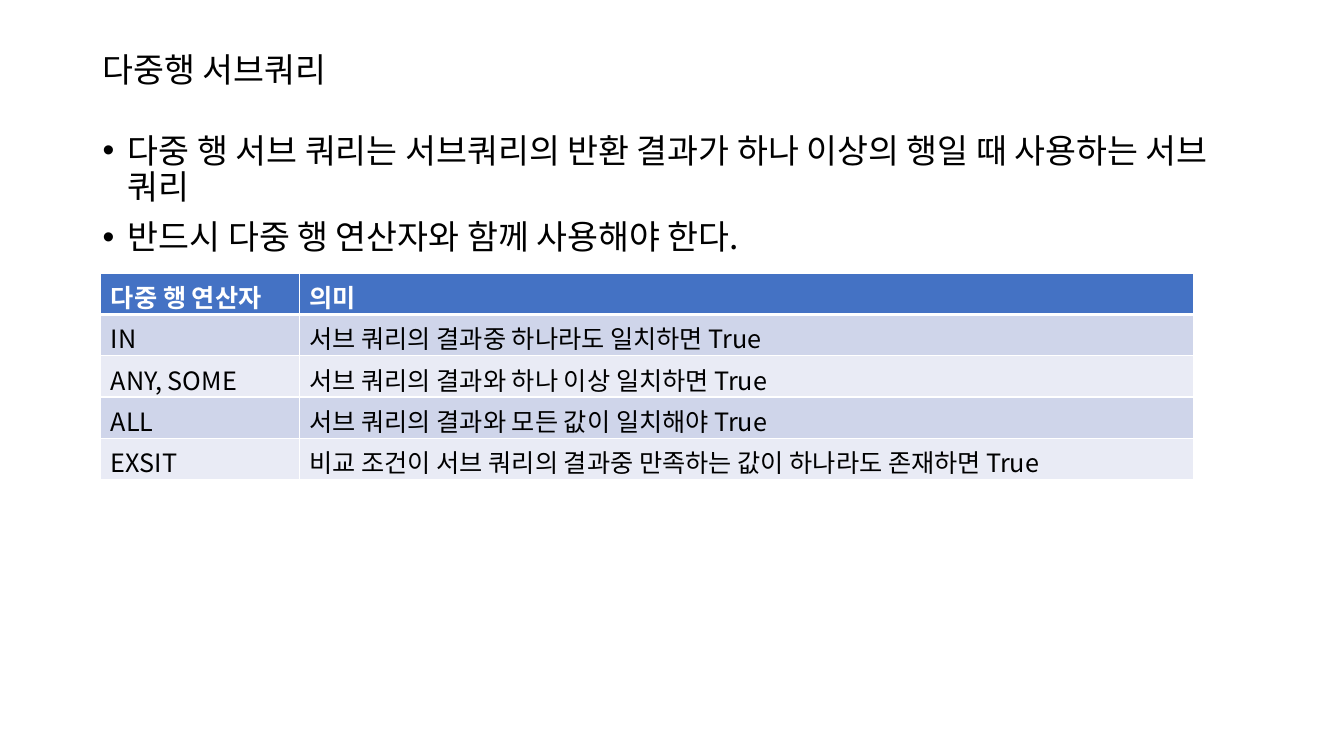
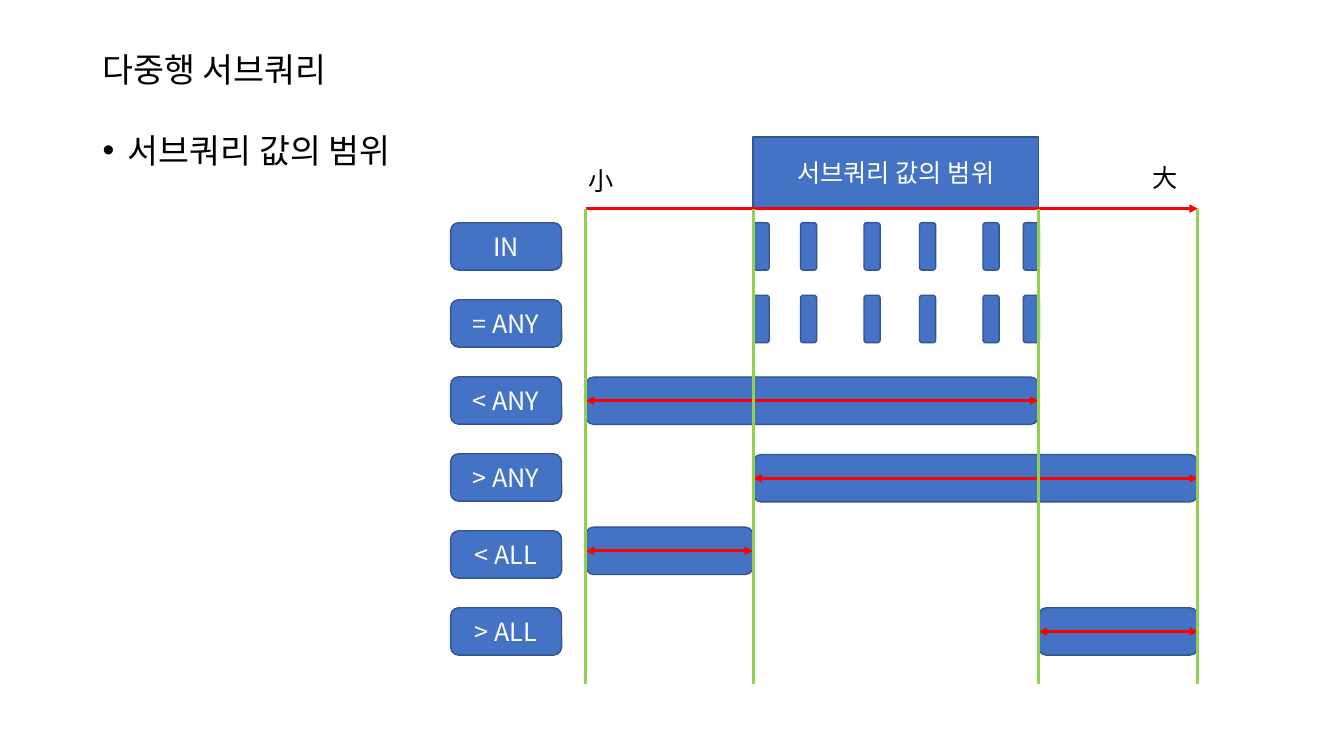
from lxml import etree
from pptx import Presentation
from pptx.dml.color import RGBColor
from pptx.enum.shapes import MSO_CONNECTOR, MSO_SHAPE
from pptx.enum.text import MSO_ANCHOR, PP_ALIGN
from pptx.oxml.ns import qn
from pptx.util import Inches, Pt

RECT = MSO_SHAPE.RECTANGLE
ROUND = MSO_SHAPE.ROUNDED_RECTANGLE
STRAIGHT = MSO_CONNECTOR.STRAIGHT
TOP, MIDDLE = MSO_ANCHOR.TOP, MSO_ANCHOR.MIDDLE
CENTER = PP_ALIGN.CENTER

BLACK = RGBColor(0x00, 0x00, 0x00)
WHITE = RGBColor(0xFF, 0xFF, 0xFF)
BLUE = RGBColor(0x44, 0x72, 0xC4)
NAVY = RGBColor(0x32, 0x54, 0x91)
RED = RGBColor(0xFF, 0x00, 0x00)
GREEN = RGBColor(0x92, 0xD0, 0x50)
BANDS = (RGBColor(0xE9, 0xEB, 0xF5), RGBColor(0xCF, 0xD5, 0xEA))
FONT = "Noto Sans CJK KR"
TITLE = "다중행 서브쿼리"


class Deck:
    def __init__(self):
        self.prs = Presentation()
        self.prs.slide_width = Inches(13.33)
        self.prs.slide_height = Inches(7.5)
        self.slide = None

    def page(self, title, points):
        self.slide = self.prs.slides.add_slide(self.prs.slide_layouts[6])
        self.text(0.92, 0.4, 3.05, 0.62, [title], 24, MIDDLE, 0.9)
        body = self.text(0.92, 1.28, 11.5, 5.91, points, 24, TOP, 0.9)
        for para in body.paragraphs:
            para.space_before = Pt(10)
            props = para._p.get_or_add_pPr()
            props.set("marL", str(Inches(0.25)))
            props.set("indent", str(-Inches(0.25)))
            etree.SubElement(props, qn("a:buFont")).set("typeface", "Arial")
            etree.SubElement(props, qn("a:buChar")).set("char", "•")

    def run(self, para, text, size, color, bold=False):
        run = para.add_run()
        run.text = text
        font = run.font
        font.name, font.size, font.bold = FONT, Pt(size), bold
        font.color.rgb = color
        etree.SubElement(run._r.get_or_add_rPr(), qn("a:ea")).set("typeface", FONT)

    def text(self, x, y, w, h, lines, size=18, anchor=TOP, space=None):
        box = self.slide.shapes.add_textbox(*map(Inches, (x, y, w, h)))
        frame = box.text_frame
        frame.word_wrap = True
        frame.vertical_anchor = anchor
        for i, line in enumerate(lines):
            para = frame.add_paragraph() if i else frame.paragraphs[0]
            para.line_spacing = space
            self.run(para, line, size, BLACK)
        return frame

    def box(self, x, y, w, h, text="", kind=ROUND):
        shape = self.slide.shapes.add_shape(kind, *map(Inches, (x, y, w, h)))
        shape.shadow.inherit = False
        shape.fill.solid()
        shape.fill.fore_color.rgb = BLUE
        shape.line.color.rgb = NAVY
        shape.line.width = Pt(1)
        if text:
            frame = shape.text_frame
            frame.word_wrap = True
            frame.vertical_anchor = MIDDLE
            para = frame.paragraphs[0]
            para.alignment = CENTER
            self.run(para, text, 18, WHITE)
        return shape

    def line(self, x1, y1, x2, y2, color, ends=()):
        line = self.slide.shapes.add_connector(STRAIGHT, *map(Inches, (x1, y1, x2, y2)))
        line.line.color.rgb = color
        line.line.width = Pt(2)
        for end in ends:
            etree.SubElement(line.line._get_or_add_ln(), qn("a:" + end)).set("type", "triangle")
        etree.SubElement(line.element.spPr, qn("a:effectLst"))
        return line

    def span(self, left, right, y, h):
        bar = self.box(left, y, right - left, h)
        mid = y + h / 2
        arrow = self.line(left, mid, right, mid, RED, ("headEnd", "tailEnd"))
        arrow.begin_connect(bar, 1)
        arrow.end_connect(bar, 3)

    def border(self, cell, head):
        props = cell._tc.get_or_add_tcPr()
        for i, side in enumerate(("lnL", "lnR", "lnT", "lnB")):
            edge = etree.Element(qn("a:" + side))
            thick = head and side == "lnB"
            edge.set("w", str(Pt(3 if thick else 1)))
            fill = etree.SubElement(edge, qn("a:solidFill"))
            etree.SubElement(fill, qn("a:srgbClr")).set("val", str(WHITE))
            props.insert(i, edge)

    def table(self, x, y, widths, high, rows):
        size = (x, y, sum(widths), high * len(rows))
        table = self.slide.shapes.add_table(
            len(rows), len(widths), *map(Inches, size)).table
        for col, width in zip(table.columns, widths):
            col.width = Inches(width)
        for r, row in enumerate(rows):
            table.rows[r].height = Inches(high)
            head = r == 0
            for c, text in enumerate(row):
                cell = table.cell(r, c)
                cell.fill.solid()
                cell.fill.fore_color.rgb = BLUE if head else BANDS[r % 2]
                self.border(cell, head)
                self.run(cell.text_frame.paragraphs[0], text, 18,
                         WHITE if head else BLACK, head)


def rules(deck):
    deck.page(TITLE, [
        "다중 행 서브 쿼리는 서브쿼리의 반환 결과가 하나 이상의 행일 때 사용하는 서브 쿼리",
        "반드시 다중 행 연산자와 함께 사용해야 한다.",
    ])
    deck.table(1, 2.71, (1.97, 8.87), 0.41, [
        ("다중 행 연산자", "의미"),
        ("IN", "서브 쿼리의 결과중 하나라도 일치하면 True"),
        ("ANY, SOME", "서브 쿼리의 결과와 하나 이상 일치하면 True"),
        ("ALL", "서브 쿼리의 결과와 모든 값이 일치해야 True"),
        ("EXSIT", "비교 조건이 서브 쿼리의 결과중 만족하는 값이 하나라도 존재하면 True"),
    ])


def ranges(deck):
    start, low, high, end = 5.81, 7.47, 10.3, 11.88
    axis, floor, first, last, tall = 2.07, 6.79, 2.21, 6.03, 0.47
    deck.page(TITLE, ["서브쿼리 값의 범위"])
    deck.box(low, 1.36, high - low, axis - 1.36, "서브쿼리 값의 범위", RECT)
    deck.line(start, axis, end, axis, RED, ("tailEnd",))

    names = ("IN", "= ANY", "< ANY", "> ANY", "< ALL", "> ALL")
    step = (last - first) / (len(names) - 1)
    for i, name in enumerate(names):
        deck.box(4.47, first + i * step, 1.1, tall, name)

    for y in (first, 2.93):
        for x in (low, 7.94, 8.57, 9.12, 9.75, 10.15):
            deck.box(x, y, 0.16, tall)

    for x, y, sign in ((5.74, 1.59, "小"), (11.33, 1.56, "大")):
        deck.text(x, y, 0.55, 0.4, [sign])

    for left, right, y in ((start, high, 3.74), (low, end, 4.51),
                           (start, low, 5.23), (high, end, last)):
        deck.span(left, right, y, tall)

    for x in (start, low, high, end):
        deck.line(x, axis, x, floor, GREEN)


def main():
    deck = Deck()
    rules(deck)
    ranges(deck)
    deck.prs.save("out.pptx")


if __name__ == "__main__":
    main()
